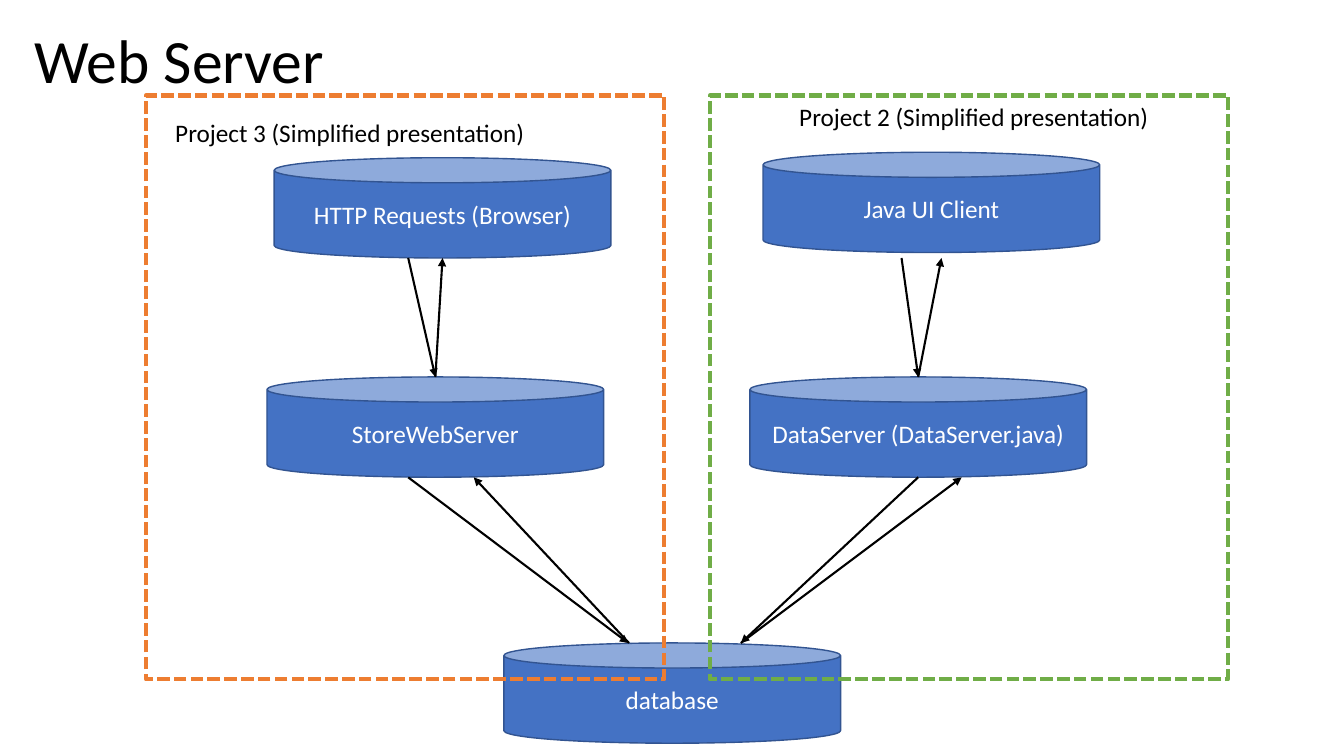
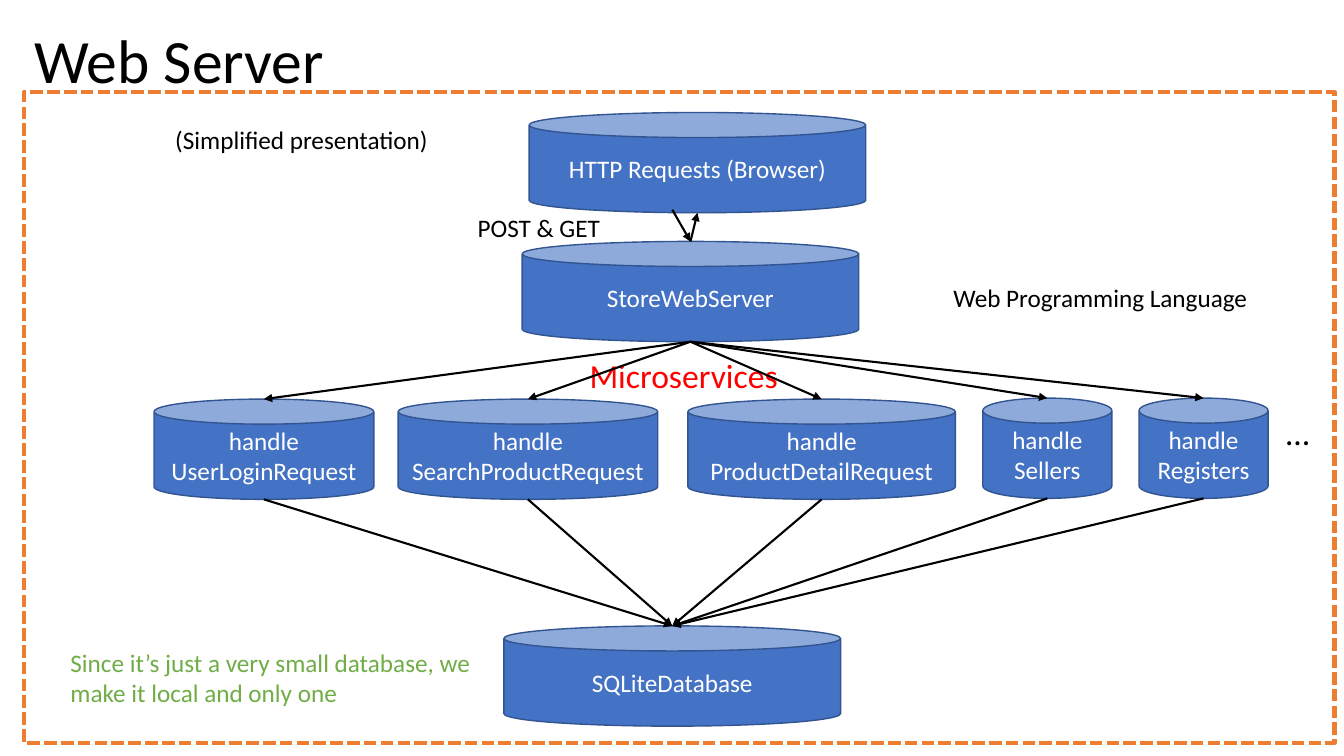
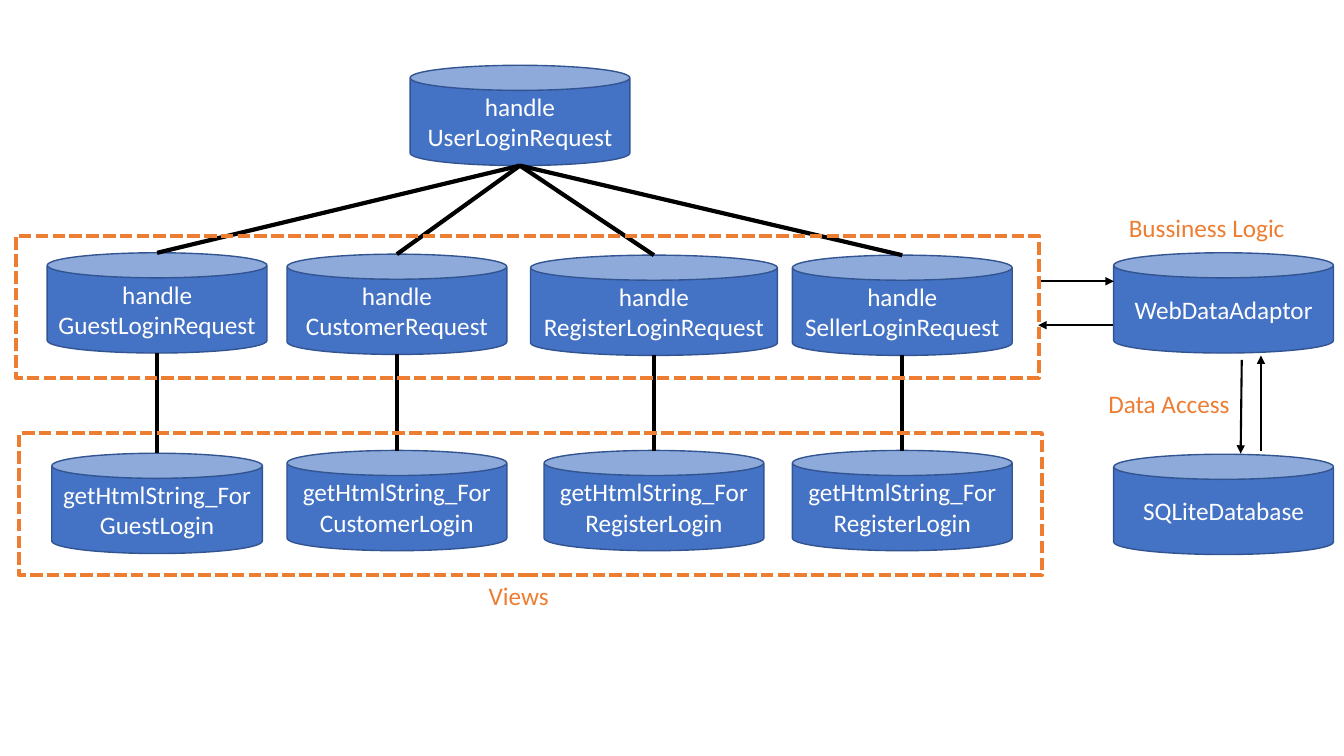
"""Build three slides that explain the structure of a web server."""
import lxml.etree
import pptx
import pptx.dml.color
import pptx.enum.dml
import pptx.enum.shapes
import pptx.enum.text
import pptx.oxml.ns
import pptx.util

Pt = pptx.util.Pt
RGBColor = pptx.dml.color.RGBColor
ANCHOR = pptx.enum.text.MSO_ANCHOR
ALIGN = pptx.enum.text.PP_ALIGN

BLACK = RGBColor(0x00, 0x00, 0x00)
WHITE = RGBColor(0xFF, 0xFF, 0xFF)
BLUE = RGBColor(0x44, 0x72, 0xC4)
DARK_BLUE = RGBColor(0x32, 0x54, 0x91)
ORANGE = RGBColor(0xED, 0x7D, 0x31)
GREEN = RGBColor(0x70, 0xAD, 0x47)
RED = RGBColor(0xFF, 0x00, 0x00)

FONT = "Calibri"
TITLE_BOX = (17.3, 9.4, 267, 71.6)
CAN_HEIGHT = 71.6
WIDE, MEDIUM, SMALL = 240.5, 157, 92.2
CAN_SITES = {"top": 1, "bottom": 3}
LABEL_HEIGHT = 28.8

PROJECTS = {
    "title": "Web Server",
    "cans": {
        "store": ("StoreWebServer", 311, 269.3, WIDE),
        "database": ("database", 480.2, 459.3, WIDE),
        "client": ("Java UI Client", 665.3, 108.8, WIDE),
        "data": ("DataServer (DataServer.java)", 655.9, 269.3, WIDE),
        "browser": ("HTTP Requests (Browser)", 316.1, 112.7, WIDE),
    },
    "labels": [
        ("Project 2 (Simplified presentation)", (563.8, 68.5, 267), BLACK),
        ("Project 3 (Simplified presentation)", (118.1, 80, 267), BLACK),
    ],
    "arrows": [
        ((644, 184.3), ("data", "top")),
        (("data", "top"), (672.5, 184.3)),
        (("data", "bottom"), (529.2, 459.3)),
        ((529.2, 459.3), (686.9, 341)),
        ((291.6, 184.3), ("store", "top")),
        (("store", "top"), ("browser", "bottom")),
        ((291.6, 341), (448.8, 459.3)),
        ((449.3, 459.3), (338.4, 341)),
    ],
    "frames": [((104.3, 68.3, 370.2, 417), ORANGE), ((507, 68.3, 370.2, 417), GREEN)],
}

REQUEST_HANDLERS = {
    "login": ("handle UserLoginRequest", 188.5, 285.1, MEDIUM),
    "search": ("handle SearchProductRequest", 377.1, 285.1, 185.4),
    "detail": ("handle ProductDetailRequest", 586.9, 285.1, 191),
    "sellers": ("handle\nSellers", 748.1, 284.4, SMALL),
    "registers": ("handle\nRegisters", 859.7, 284.4, SMALL),
}

MICROSERVICES = {
    "title": "Web Server",
    "cans": {
        "store": ("StoreWebServer", 493.2, 172.5, WIDE),
        "database": ("SQLiteDatabase", 480.2, 447.1, WIDE),
        "browser": ("HTTP Requests (Browser)", 498.2, 80.4, WIDE),
        **REQUEST_HANDLERS,
    },
    "labels": [
        ("(Simplified presentation)", (118.1, 85.3, 481.7), BLACK),
        ("Since it’s just a very small database, we make it local and only one",
         (43.2, 458.6, 337.7), GREEN),
        ("Web Programming Language", (673.9, 198.2, 254.2), BLACK),
        ("POST & GET", (334.1, 147.8, 103), BLACK),
    ],
    "headings": [
        ("Microservices", (414, 244.8, 157, 50.4), RED),
        ("…", (911.5, 285.1, 41.8, 50.4), BLACK),
    ],
    "arrows": [
        ((480.2, 149.8), ("store", "top")),
        (("store", "top"), ("browser", "bottom")),
        *[(("store", "bottom"), (name, "top")) for name in REQUEST_HANDLERS],
        *[((name, "bottom"), ("database", "top")) for name in REQUEST_HANDLERS],
    ],
    "frames": [((17.3, 65.5, 936, 465.1), ORANGE)],
}

LOGIN_ROLES = [
    ("handle GuestLoginRequest", 180.6, MEDIUM, "GuestLogin", 323.8, 150.5, 112.2),
    ("handle CustomerRequest", 181.6, MEDIUM, "CustomerLogin", 321.8, MEDIUM, 283.5),
    ("handle RegisterLoginRequest", 182.3, 176.4, "RegisterLogin", 321.8, MEDIUM, 467.1),
    ("handle SellerLoginRequest", 182.3, MEDIUM, "RegisterLogin", 321.8, MEDIUM, 644.5),
]


def login_slide():
    """Return the content of the login slide, one column for each role."""
    cans = {
        "login": ("handle UserLoginRequest", 371.4, 46.7, MEDIUM),
        "adaptor": ("WebDataAdaptor", 874, 180.6, MEDIUM),
        "database": ("SQLiteDatabase", 874, 324.5, MEDIUM),
    }
    links = []
    for number, role in enumerate(LOGIN_ROLES):
        request, top, width, view, view_top, view_width, center = role
        handler_name, view_name = f"handler {number}", f"view {number}"
        cans[handler_name] = (request, center, top, width)
        cans[view_name] = ("getHtmlString_For" + view, center, view_top, view_width)
        links.append((("login", "bottom"), (handler_name, "top")))
        links.append(((handler_name, "bottom"), (view_name, "top")))
    return {
        "cans": cans,
        "labels": [
            ("Views", (342, 411.1, 58.5), ORANGE),
            ("Data Access", (784.6, 273.8, 102.5), ORANGE),
            ("Bussiness Logic", (799.2, 148.4, 126.7), ORANGE),
        ],
        "links": links,
        "arrows": [
            ((741.6, 200.9), (795.6, 200.9)),
            ((794.9, 232.3), (741.6, 232.3)),
            ((887, 257), (886.2, 324)),
            ((900.7, 322), (900.7, 254)),
        ],
        "frames": [((11.5, 168.5, 730.5, 101.5), ORANGE), ((13.7, 309.4, 730.5, 101.5), ORANGE)],
    }


def points(values):
    """Return the values as lengths."""
    return [Pt(value) for value in values]


def write_text(shape, text, size, color, align=ALIGN.LEFT, anchor=ANCHOR.TOP, spacing=None):
    """Fill a shape with text, one paragraph a line."""
    frame = shape.text_frame
    frame.word_wrap = True
    frame.auto_size = pptx.enum.text.MSO_AUTO_SIZE.NONE
    frame.vertical_anchor = anchor
    for number, line in enumerate(text.split("\n")):
        paragraph = frame.add_paragraph() if number else frame.paragraphs[0]
        paragraph.alignment = align
        paragraph.line_spacing = spacing
        run = paragraph.add_run()
        run.text = line
        run.font.name = FONT
        run.font.size = Pt(size)
        run.font.color.rgb = color


def add_title(slide, text):
    """Place and format the title placeholder."""
    title = slide.shapes.title
    title.left, title.top, title.width, title.height = points(TITLE_BOX)
    write_text(title, text, 44, BLACK, anchor=ANCHOR.MIDDLE, spacing=0.9)


def add_can(slide, text, center, top, width):
    """Add a can centred on a vertical axis."""
    box = points((center - width / 2, top, width, CAN_HEIGHT))
    can = slide.shapes.add_shape(pptx.enum.shapes.MSO_SHAPE.CAN, *box)
    can.shadow.inherit = False
    can.fill.solid()
    can.fill.fore_color.rgb = BLUE
    can.line.color.rgb = DARK_BLUE
    can.line.width = Pt(1)
    write_text(can, text, 18, WHITE, ALIGN.CENTER, ANCHOR.MIDDLE)
    return can


def add_frame(slide, box, color):
    """Add a dashed outline."""
    frame = slide.shapes.add_shape(pptx.enum.shapes.MSO_SHAPE.RECTANGLE, *points(box))
    frame.shadow.inherit = False
    frame.fill.background()
    frame.line.color.rgb = color
    frame.line.width = Pt(3)
    frame.line.dash_style = pptx.enum.dml.MSO_LINE.SQUARE_DOT


def add_label(slide, text, box, size, color, **style):
    """Add a text box."""
    write_text(slide.shapes.add_textbox(*points(box)), text, size, color, **style)


def locate(end, cans):
    """Return the position of a line's end: a point, or a side of a can."""
    if end[0] not in cans:
        return points(end)
    can = cans[end[0]]
    return [can.left + can.width // 2, can.top + (can.height if end[1] == "bottom" else 0)]


def add_line(slide, start, end, cans, width, arrow):
    """Add a straight line and join it to the cans it touches."""
    begin_point, end_point = locate(start, cans), locate(end, cans)
    line = slide.shapes.add_connector(
        pptx.enum.shapes.MSO_CONNECTOR.STRAIGHT, *begin_point, *end_point)
    if start[0] in cans:
        line.begin_connect(cans[start[0]], CAN_SITES[start[1]])
    if end[0] in cans:
        line.end_connect(cans[end[0]], CAN_SITES[end[1]])
    line.begin_x, line.begin_y = begin_point
    line.end_x, line.end_y = end_point
    line.line.color.rgb = BLACK
    line.line.width = Pt(width)
    properties = line._element.spPr
    if arrow:
        outline = properties.find(pptx.oxml.ns.qn("a:ln"))
        lxml.etree.SubElement(outline, pptx.oxml.ns.qn("a:tailEnd"), type="triangle")
    lxml.etree.SubElement(properties, pptx.oxml.ns.qn("a:effectLst"))


def add_slide(presentation, content):
    """Add one slide from its content."""
    layout = presentation.slide_layouts[5 if "title" in content else 6]
    slide = presentation.slides.add_slide(layout)
    if "title" in content:
        add_title(slide, content["title"])
    cans = {name: add_can(slide, *can) for name, can in content["cans"].items()}
    for text, box, color in content["labels"]:
        add_label(slide, text, (*box, LABEL_HEIGHT), 18, color)
    for text, box, color in content.get("headings", []):
        add_label(slide, text, box, 24, color, anchor=ANCHOR.MIDDLE, spacing=0.9)
    for start, end in content.get("links", []):
        add_line(slide, start, end, cans, 3, False)
    for start, end in content["arrows"]:
        add_line(slide, start, end, cans, 1.5, True)
    for box, color in content["frames"]:
        add_frame(slide, box, color)


def main():
    """Build and save the presentation."""
    presentation = pptx.Presentation()
    presentation.slide_width, presentation.slide_height = Pt(960), Pt(540)
    for content in (PROJECTS, MICROSERVICES, login_slide()):
        add_slide(presentation, content)
    presentation.save("out.pptx")


if __name__ == "__main__":
    main()
